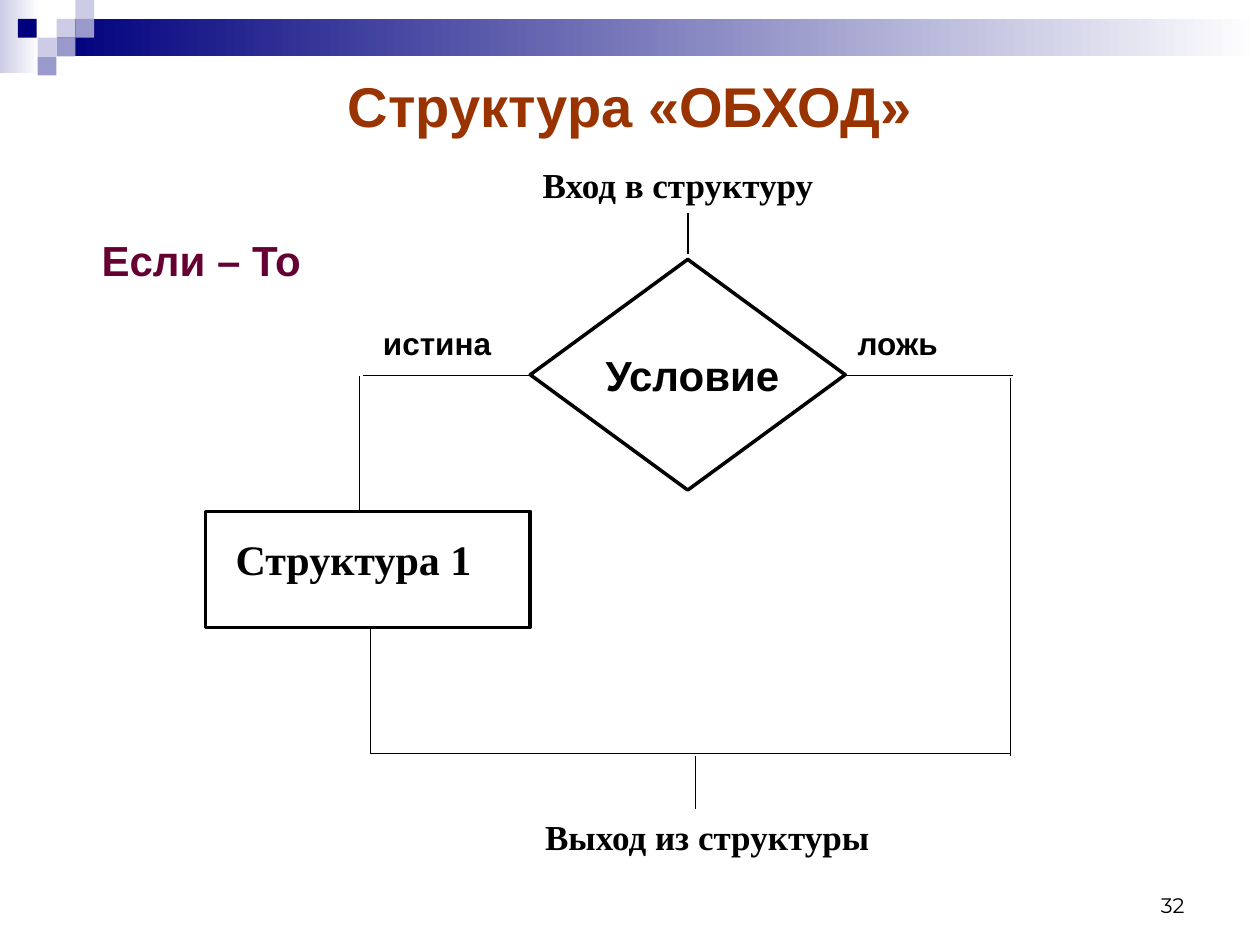
from dataclasses import dataclass

from lxml import etree
from pptx import Presentation
from pptx.dml.color import RGBColor
from pptx.enum import shapes, text
from pptx.oxml.ns import qn
from pptx.util import Cm, Pt

COLORS = {
    "black": "000000", "white": "FFFFFF", "navy": "00007D",
    "lavender": "CCCCE6", "violet": "9999CC",
    "title": "993300", "heading": "660033",
}
SERIF, SANS = "Times New Roman", "Arial"
PITCH = 0.38  # side of a decorative square, cm
COLUMNS = (0.36, 0.76, 1.14, 1.52)


@dataclass
class Box:
    """Position and size in centimetres."""
    x: float
    y: float
    w: float
    h: float

    def emu(self) -> tuple:
        return Cm(self.x), Cm(self.y), Cm(self.w), Cm(self.h)


@dataclass
class Label:
    words: str
    box: Box
    size: float
    font: str = SANS
    color: str = "black"
    bold: bool = True
    before: float = 0
    spacing: float = 1.0
    align: text.PP_ALIGN = text.PP_ALIGN.LEFT
    anchor: text.MSO_ANCHOR = text.MSO_ANCHOR.TOP
    fill: str = ""


@dataclass
class Line:
    x1: float
    y1: float
    x2: float
    y2: float


def rgb(name: str) -> RGBColor:
    return RGBColor.from_string(COLORS[name])


def add_block(slide, kind, box: Box, fill: str, fade: bool = False, line: float = 0):
    """Add a preset shape; fade runs its fill to white from left to right."""
    sp = slide.shapes.add_shape(kind, *box.emu())
    sp.shadow.inherit = False
    if fade:
        sp.fill.gradient()
        sp.fill.gradient_angle = 0
        for stop, name in zip(sp.fill.gradient_stops, (fill, "white")):
            stop.color.rgb = rgb(name)
    else:
        sp.fill.solid()
        sp.fill.fore_color.rgb = rgb(fill)
    if line:
        sp.line.color.rgb = rgb("black")
        sp.line.width = Pt(line)
    else:
        sp.line.fill.background()


def add_line(slide, line: Line) -> None:
    cn = slide.shapes.add_connector(
        shapes.MSO_CONNECTOR.STRAIGHT,
        Cm(line.x1), Cm(line.y1), Cm(line.x2), Cm(line.y2))
    cn.line.color.rgb = rgb("black")
    cn.line.width = Pt(0.75)
    etree.SubElement(cn._element.spPr, qn("a:effectLst"))


def write(sp, label: Label) -> None:
    tf = sp.text_frame
    tf.word_wrap = True
    tf.auto_size = text.MSO_AUTO_SIZE.NONE
    tf.vertical_anchor = label.anchor
    p = tf.paragraphs[0]
    p.alignment = label.align
    p.space_before = Pt(label.before)
    p.line_spacing = label.spacing
    r = p.add_run()
    r.text = label.words
    r.font.size = Pt(label.size)
    r.font.name = label.font
    r.font.bold = label.bold
    r.font.color.rgb = rgb(label.color)


def add_label(slide, label: Label) -> None:
    sp = slide.shapes.add_textbox(*label.box.emu())
    if label.fill:
        sp.fill.solid()
        sp.fill.fore_color.rgb = rgb(label.fill)
    write(sp, label)


def add_title(slide, label: Label) -> None:
    sp = slide.shapes.title
    sp.left, sp.top, sp.width, sp.height = label.box.emu()
    write(sp, label)


def add_header(slide) -> None:
    rect = shapes.MSO_SHAPE.RECTANGLE
    add_block(slide, rect, Box(0, 0, 0.79, 1.47), "lavender", fade=True)
    add_block(slide, rect, Box(1.14, PITCH, 24.26, 2 * PITCH), "navy", fade=True)
    squares = ((2, 1, "lavender"), (3, 0, "lavender"), (3, 1, "violet"),
               (1, 2, "lavender"), (0, 1, "navy"), (2, 2, "violet"),
               (1, 3, "violet"))
    for col, row, color in squares:
        add_block(slide, rect, Box(COLUMNS[col], row * PITCH, PITCH, PITCH), color)


TITLE = Label("Структура «ОБХОД»", Box(1.27, 1.27, 22.86, 1.7), 32, color="title",
              align=text.PP_ALIGN.CENTER, anchor=text.MSO_ANCHOR.MIDDLE)

LEFT, RIGHT, BRANCH_Y, JOIN_Y = 7.47, 20.37, 7.57, 15.19
LINES = [
    Line(10.69, BRANCH_Y, 7.32, BRANCH_Y),    # true branch
    Line(20.42, BRANCH_Y, 17.04, BRANCH_Y),   # false branch
    Line(13.87, 5.13, 13.87, 4.29),           # entry
    Line(7.24, BRANCH_Y, 7.24, 10.54),
    Line(RIGHT, 7.62, RIGHT, 12.7),
    Line(RIGHT, 12.7, RIGHT, 15.24),
    Line(LEFT, 12.65, LEFT, JOIN_Y),
    Line(LEFT, JOIN_Y, RIGHT, JOIN_Y),
    Line(14.02, 15.24, 14.02, 16.31),         # exit
]

LABELS = [
    Label("Условие", Box(11.96, 6.93, 4.45, 1.27), 24, before=15),
    Label("Структура 1", Box(4.5, 10.64, 5.92, 1.27), 24, SERIF, before=15,
          fill="white"),
    Label("истина", Box(7.47, 6.4, 3.23, 1.02), 18, before=11.2),
    Label("ложь", Box(17.04, 6.4, 3.23, 1.02), 18, before=11.2),
    Label("Если – То", Box(1.8, 4.6, 4.65, 1.27), 24, color="heading", before=15),
    Label("Вход в структуру", Box(10.69, 3.33, 6.15, 1.27), 20, SERIF, before=5,
          spacing=0.8),
    Label("Выход из структуры", Box(10.74, 16.31, 7.19, 1.27), 20, SERIF, before=5),
    Label("32", Box(18.21, 17.35, 5.92, 1.27), 12, "Montserrat", bold=False,
          align=text.PP_ALIGN.RIGHT, anchor=text.MSO_ANCHOR.BOTTOM),
]


def main() -> None:
    prs = Presentation()
    prs.slide_width, prs.slide_height = Cm(25.4), Cm(19.05)
    slide = prs.slides.add_slide(prs.slide_layouts[5])
    add_header(slide)
    add_title(slide, TITLE)
    for line in LINES:
        add_line(slide, line)
    add_block(slide, shapes.MSO_SHAPE.FLOWCHART_DECISION,
              Box(10.69, 5.23, 6.35, 4.65), "white", line=2)
    add_block(slide, shapes.MSO_SHAPE.RECTANGLE,
              Box(4.14, 10.31, 6.55, 2.34), "white", line=2)
    for label in LABELS:
        add_label(slide, label)
    prs.save("out.pptx")


if __name__ == "__main__":
    main()
